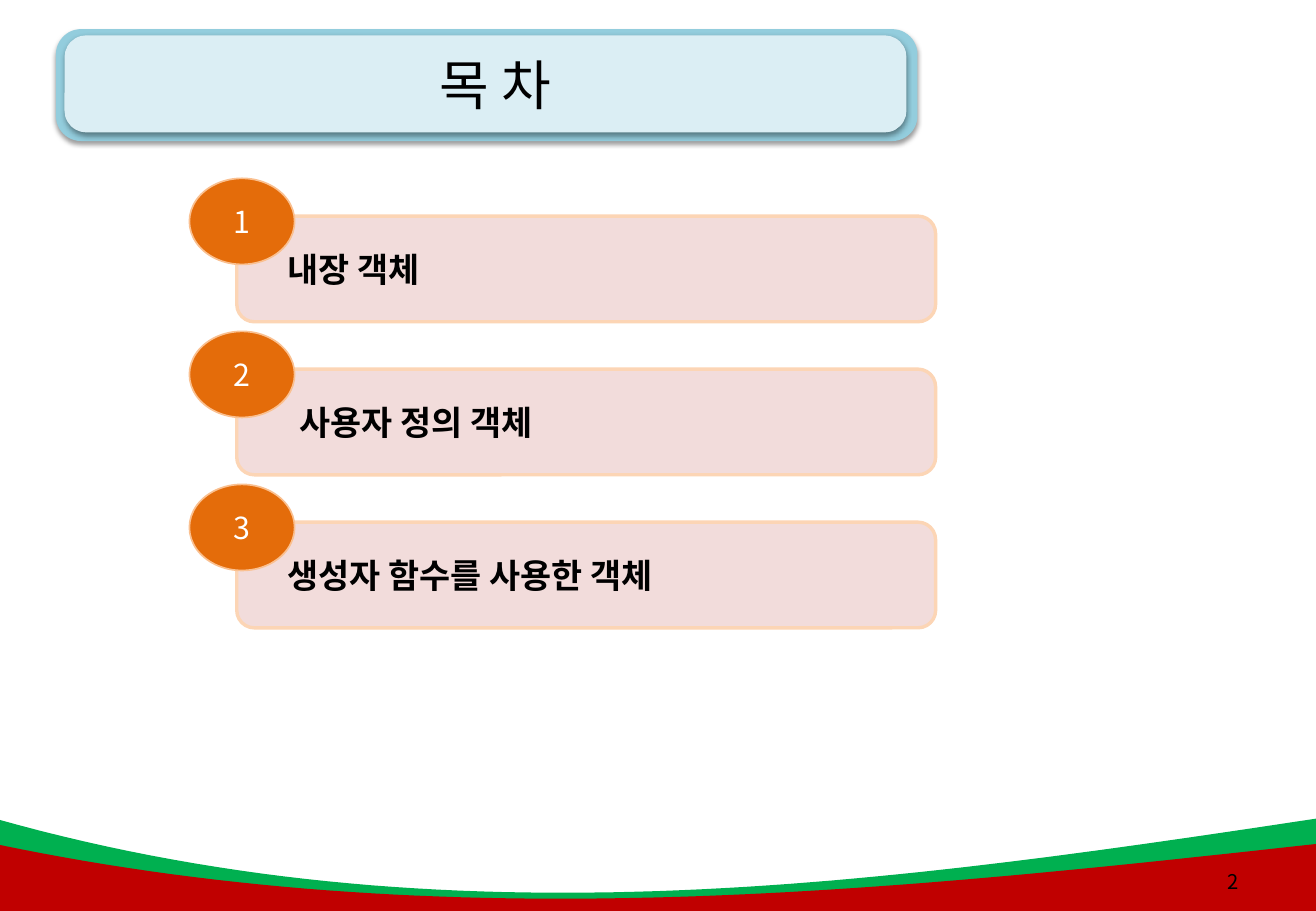
from lxml.etree import SubElement
from pptx import Presentation
from pptx.dml.color import RGBColor
from pptx.enum.shapes import MSO_SHAPE
from pptx.enum.text import MSO_ANCHOR, PP_ALIGN
from pptx.oxml import parse_xml
from pptx.oxml.ns import nsdecls, qn
from pptx.util import Cm, Pt

FONT = "Noto Sans CJK KR"
COLORS = {
    "green": "00B050", "red": "C00000",
    "banner": "93CDDD", "banner_face": "DBEEF4",
    "bar": "F2DCDB", "bar_line": "FCD5B5",
    "badge": "E46C0A", "badge_line": "FAC090",
    "black": "000000", "white": "FFFFFF",
}


def write(box, text, size=18, color="black", bold=False, align=PP_ALIGN.LEFT, indent=0.25):
    frame = box.text_frame
    frame.word_wrap = True
    frame.vertical_anchor = MSO_ANCHOR.MIDDLE
    frame.margin_left = Cm(indent)
    para = frame.paragraphs[0]
    para.alignment = align
    span = para.add_run()
    span.text = text
    span.font.size = Pt(size)
    span.font.bold = bold
    span.font.name = FONT
    span.font.color.rgb = RGBColor.from_string(COLORS[color])
    SubElement(span.font._element, qn("a:ea"), typeface=FONT)


def paint(shape, fill, line=None, width=1):
    shape.shadow.inherit = False
    shape.fill.solid()
    shape.fill.fore_color.rgb = RGBColor.from_string(COLORS[fill])
    if line:
        shape.line.color.rgb = RGBColor.from_string(COLORS[line])
        shape.line.width = Pt(width)
    else:
        shape.line.fill.background()


deck = Presentation()
deck.slide_width, deck.slide_height = Cm(27.51), Cm(19.05)
page = deck.slides.add_slide(deck.slide_layouts[5])
shapes = page.shapes

# Footer waves: cubic curves from the left edge to the right edge
STEPS = 60
WAVE_X = (-0.1, 9.25, 18.26, 27.51)
for color, wave_y in (("green", (17.12, 19.76, 18.52, 17.12)),
                      ("red", (17.65, 19.61, 18.67, 17.65))):
    points = []
    for step in range(STEPS + 1):
        t = step / STEPS
        weights = ((1 - t) ** 3, 3 * t * (1 - t) ** 2, 3 * t ** 2 * (1 - t), t ** 3)
        points.append(tuple(Cm(sum(w * c for w, c in zip(weights, axis)))
                            for axis in (WAVE_X, wave_y)))
    points += [(Cm(27.51), Cm(19.05)), (Cm(-0.1), Cm(19.05))]
    builder = shapes.build_freeform(*points[0])
    builder.add_line_segments(points[1:], close=True)
    paint(builder.convert_to_shape(), color)

# Title banner: two stacked panels with a soft shadow
for color, area in (("banner", (1.17, 0.61, 18.01, 2.34)),
                    ("banner_face", (1.35, 0.74, 17.6, 2.03))):
    panel = shapes.add_shape(MSO_SHAPE.ROUNDED_RECTANGLE, *map(Cm, area))
    panel.adjustments[0] = 0.225
    paint(panel, color)
    effects = panel.element.spPr.find(qn("a:effectLst"))
    effects.append(parse_xml(
        f'<a:outerShdw {nsdecls("a")} blurRad="{Pt(3.1)}" dist="{Pt(1.6)}" dir="5400000" '
        'rotWithShape="0"><a:srgbClr val="000000"><a:alpha val="38000"/></a:srgbClr>'
        '</a:outerShdw>'))

# Title, placed above the banner
title = shapes.title
title.left, title.top, title.width, title.height = map(Cm, (1.75, 0.56, 17.22, 2.39))
write(title, "목 차", size=32, align=PP_ALIGN.CENTER)
panel.element.addnext(title.element)

# Page number
number_box = shapes.add_textbox(Cm(24.59), Cm(17.93), Cm(1.55), Cm(1.02))
write(number_box, "2", size=12, align=PP_ALIGN.RIGHT)

# Contents: a bar with a numbered badge on its corner
ROW_STEP = 3.2
items = (("내장 객체", 0.95), ("사용자 정의 객체", 1.2), ("생성자 함수를 사용한 객체", 0.95))
for row, (topic, indent) in enumerate(items):
    top = 3.73 + row * ROW_STEP
    bar = shapes.add_shape(MSO_SHAPE.ROUNDED_RECTANGLE, Cm(4.95), Cm(top + 0.79), Cm(14.61), Cm(2.21))
    paint(bar, "bar", "bar_line", 2)
    write(bar, topic, size=20, bold=True, indent=indent)
    badge = shapes.add_shape(MSO_SHAPE.OVAL, Cm(3.96), Cm(top), Cm(2.2), Cm(1.8))
    paint(badge, "badge", "badge_line")
    write(badge, str(row + 1), color="white", align=PP_ALIGN.CENTER)

deck.save("out.pptx")
